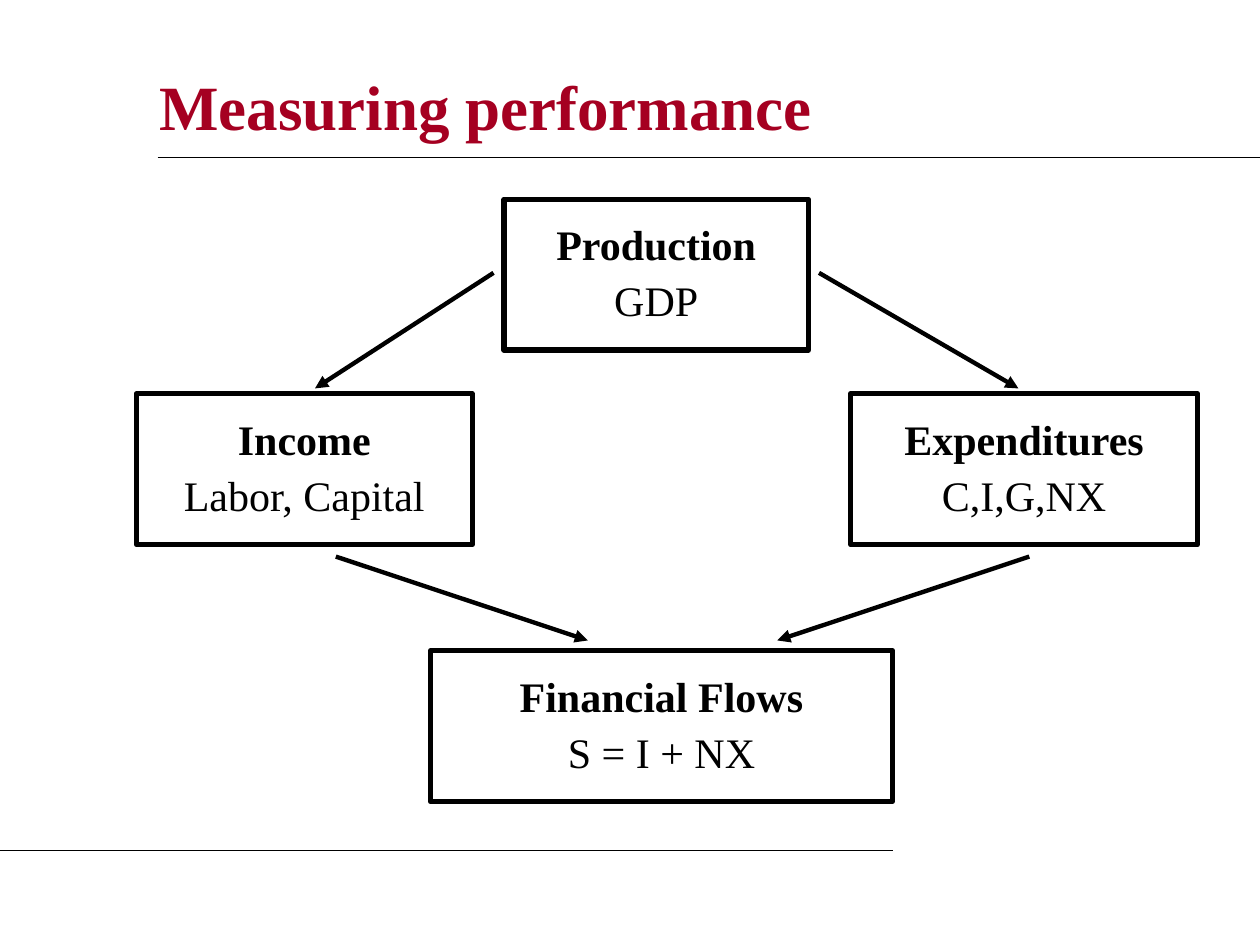
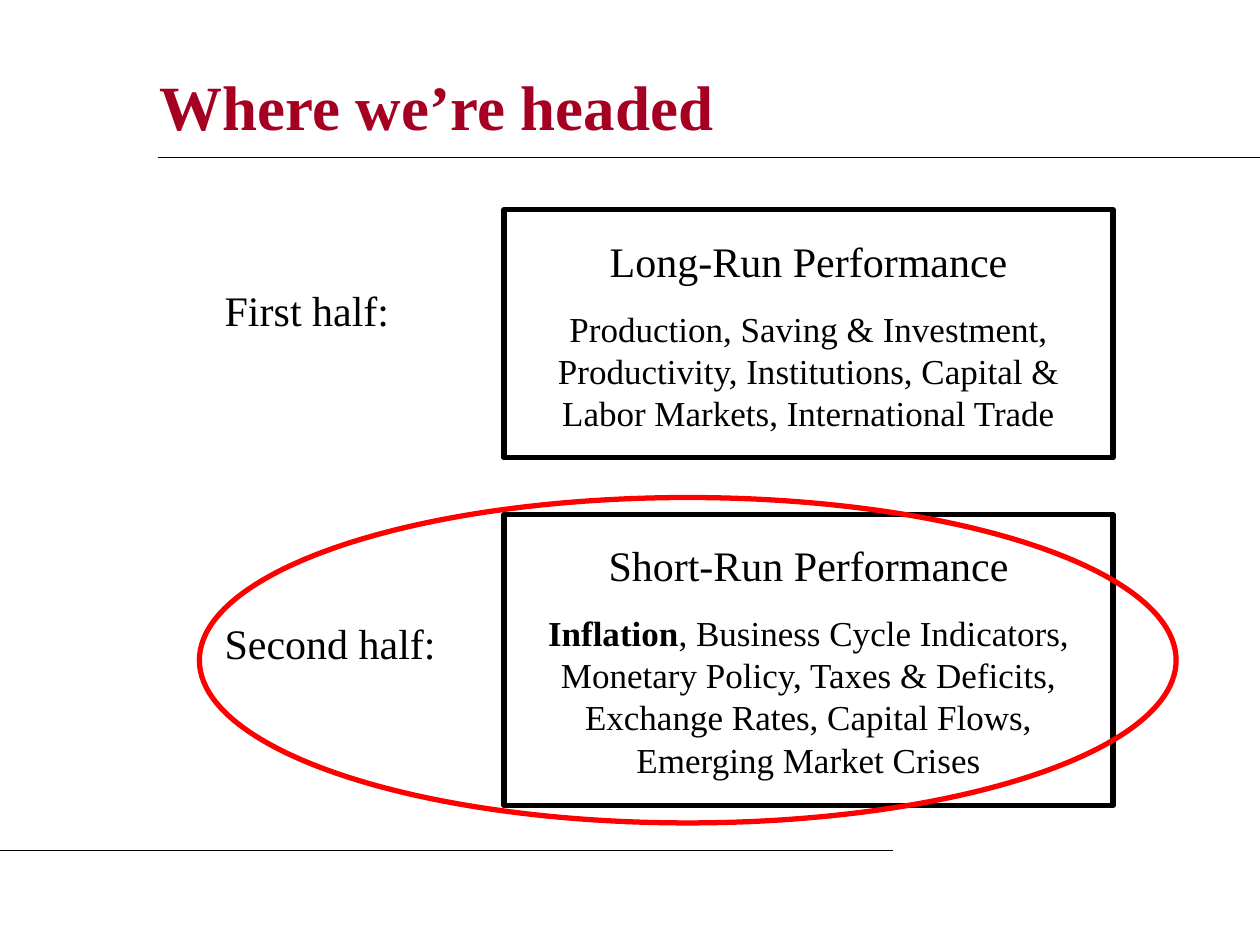
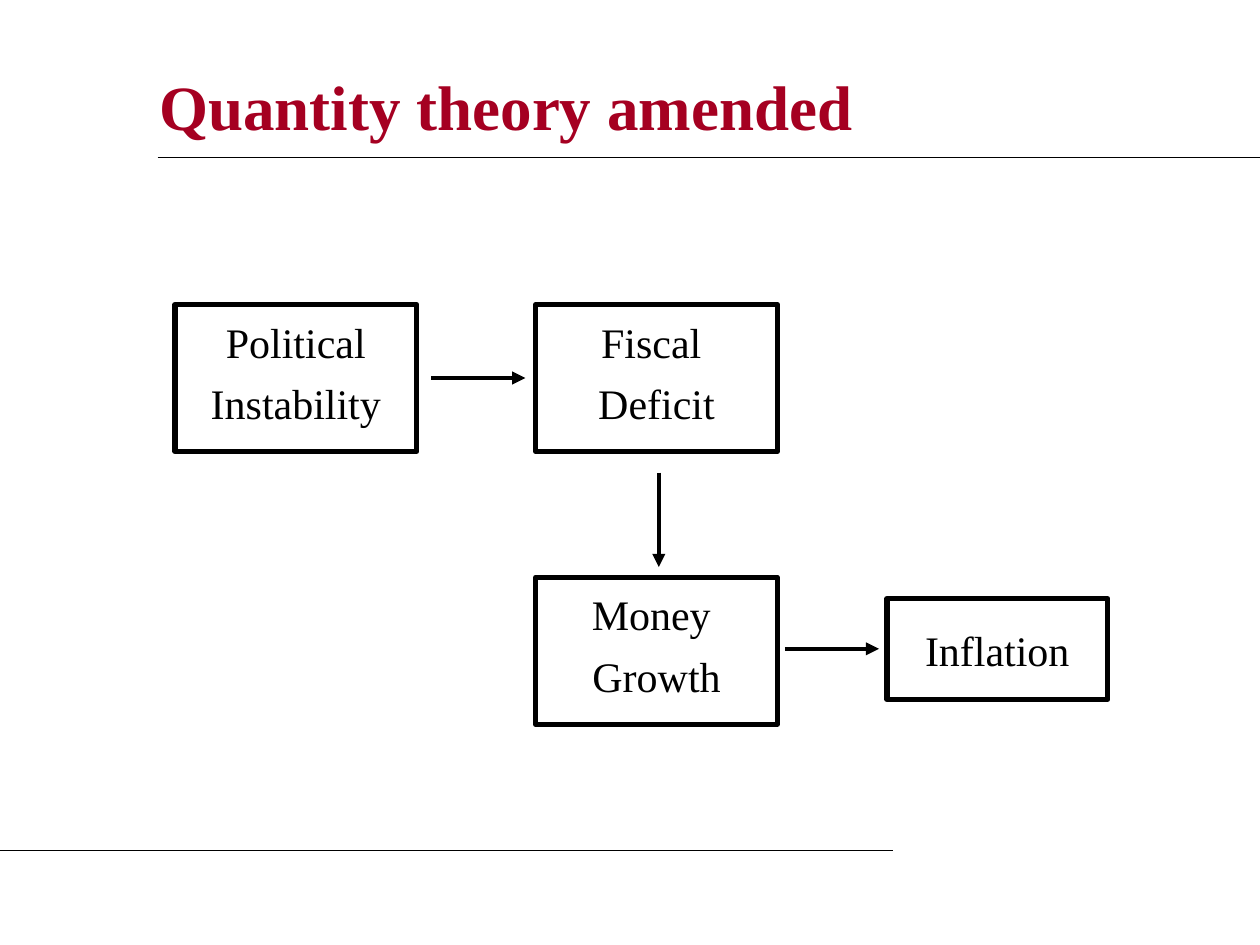
import pptx
import pptx.dml.color
import pptx.enum.shapes
import pptx.enum.text
import pptx.oxml
import pptx.oxml.ns
import pptx.util
from pptx.util import Cm

BLACK = pptx.dml.color.RGBColor(0x00, 0x00, 0x00)
CRIMSON = pptx.dml.color.RGBColor(0xA5, 0x00, 0x21)
RED = pptx.dml.color.RGBColor(0xFF, 0x00, 0x00)

SHAPES = pptx.enum.shapes.MSO_SHAPE
ALIGN = pptx.enum.text.PP_ALIGN
ANCHOR = pptx.enum.text.MSO_ANCHOR
NAMESPACE = pptx.oxml.ns.nsdecls("a")


class Deck:
    font = "Times New Roman"
    title_size, heading_size, detail_size = 36, 24, 20
    rule_width, arrow_width, frame_width = 0.75, 2.5, 3
    inset = Cm(0.51)

    def __init__(self):
        self.presentation = pptx.Presentation()
        self.presentation.slide_width = Cm(25.4)
        self.presentation.slide_height = Cm(19.05)
        self.slide = None

    def new_slide(self, heading):
        """Start a slide with its title and the two thin rules."""
        layout = self.presentation.slide_layouts[5]
        self.slide = self.presentation.slides.add_slide(layout)
        title = self.slide.shapes.title
        title.left, title.top = Cm(2.96), Cm(1.06)
        title.width, title.height = Cm(20.53), Cm(2.12)
        frame = title.text_frame
        frame.auto_size = pptx.enum.text.MSO_AUTO_SIZE.NONE
        frame.vertical_anchor = ANCHOR.MIDDLE
        paragraph = frame.paragraphs[0]
        paragraph.alignment = ALIGN.LEFT
        self.run(paragraph, heading, self.title_size, True, CRIMSON)
        self.line(3.18, 3.18, 25.4, 3.18, self.rule_width)
        self.line(0, 17.15, 18, 17.15, self.rule_width)

    def run(self, paragraph, words, size, bold=False, color=BLACK):
        run = paragraph.add_run()
        run.text = words
        run.font.name = self.font
        run.font.size = pptx.util.Pt(size)
        run.font.bold = bold
        run.font.color.rgb = color

    def fill_text(self, frame, paragraphs, align, spacing, gap):
        """Write paragraphs, each a list of (words, size, bold) runs."""
        frame.word_wrap = True
        frame.vertical_anchor = ANCHOR.TOP
        frame.margin_left = frame.margin_right = self.inset
        frame.margin_top = frame.margin_bottom = self.inset
        for index, runs in enumerate(paragraphs):
            paragraph = frame.add_paragraph() if index else frame.paragraphs[0]
            paragraph.alignment = align
            paragraph.line_spacing = spacing
            paragraph.space_before = pptx.util.Pt(gap if index else 0)
            for words, size, bold in runs:
                self.run(paragraph, words, size, bold)

    def outline(self, kind, left, top, width, height, color):
        shape = self.slide.shapes.add_shape(
            kind, Cm(left), Cm(top), Cm(width), Cm(height))
        shape.shadow.inherit = False
        shape.fill.background()
        shape.line.color.rgb = color
        shape.line.width = pptx.util.Pt(self.frame_width)
        return shape

    def box(self, left, top, width, height, paragraphs, spacing=1.0, gap=0):
        frame = self.outline(SHAPES.RECTANGLE, left, top, width, height, BLACK)
        self.fill_text(frame.text_frame, paragraphs, ALIGN.CENTER, spacing, gap)

    def ellipse(self, left, top, width, height):
        self.outline(SHAPES.OVAL, left, top, width, height, RED)

    def label(self, left, top, width, height, words, spacing=1.0):
        label = self.slide.shapes.add_textbox(
            Cm(left), Cm(top), Cm(width), Cm(height))
        self.fill_text(label.text_frame, [[(words, self.heading_size, False)]],
                       ALIGN.LEFT, spacing, 0)

    def line(self, x1, y1, x2, y2, width):
        line = self.slide.shapes.add_connector(
            pptx.enum.shapes.MSO_CONNECTOR.STRAIGHT,
            Cm(x1), Cm(y1), Cm(x2), Cm(y2))
        line.line.color.rgb = BLACK
        line.line.width = pptx.util.Pt(width)
        line._element.spPr.append(
            pptx.oxml.parse_xml(f"<a:effectLst {NAMESPACE}/>"))
        return line

    def arrow(self, x1, y1, x2, y2):
        arrow = self.line(x1, y1, x2, y2, self.arrow_width)
        arrow.line._get_or_add_ln().append(
            pptx.oxml.parse_xml(f'<a:tailEnd {NAMESPACE} type="triangle"/>'))


def measuring_performance(deck):
    deck.new_slide("Measuring performance")
    measures = [
        (10.16, 4.02, 6.14, "Production", "GDP"),
        (17.15, 7.94, 6.99, "Expenditures", "C,I,G,NX"),
        (2.75, 7.94, 6.77, "Income", "Labor, Capital"),
        (8.68, 13.12, 9.31, "Financial Flows", "S = I + NX"),
    ]
    for left, top, width, measure, parts in measures:
        deck.box(left, top, width, 3.04,
                 [[(measure, deck.heading_size, True)],
                  [(parts, deck.heading_size, False)]],
                 spacing=0.9, gap=6)
    flows = [
        (16.51, 5.5, 20.53, 7.83),
        (9.95, 5.5, 6.35, 7.83),
        (20.75, 11.22, 15.67, 12.91),
        (6.77, 11.22, 11.85, 12.91),
    ]
    for flow in flows:
        deck.arrow(*flow)


def where_headed(deck):
    deck.new_slide("Where we’re headed")
    detail = deck.detail_size
    long_run = [("Production, Saving & Investment, Productivity, Institutions, "
                 "Capital & Labor Markets, International Trade", detail, False)]
    short_run = [("Inflation", detail, True),
                 (", Business Cycle Indicators, Monetary Policy, "
                  "Taxes & Deficits, Exchange Rates, Capital Flows, "
                  "Emerging Market Crises", detail, False)]
    halves = [
        (4.23, 5.0, "Long-Run Performance", long_run),
        (10.37, 5.87, "Short-Run Performance", short_run),
    ]
    for top, height, horizon, topics in halves:
        deck.box(10.16, top, 12.28, height,
                 [[(horizon, deck.heading_size, False)], topics], gap=12.5)
    deck.label(4.02, 5.93, 5.93, 1.52, "First half:", spacing=0.5)
    deck.label(4.02, 11.94, 5.93, 2.03, "Second half:")
    deck.ellipse(4.02, 10.03, 19.69, 6.56)


def quantity_theory(deck):
    deck.new_slide("Quantity theory amended")
    causes = [
        (3.53, 6.14, 4.87, 2.96, ["Political", "Instability"]),
        (10.8, 6.14, 4.87, 2.96, ["Fiscal ", "Deficit"]),
        (10.8, 11.64, 4.87, 2.96, ["Money ", "Growth"]),
        (17.88, 12.07, 4.45, 2.03, ["Inflation"]),
    ]
    for left, top, width, height, words in causes:
        deck.box(left, top, width, height,
                 [[(word, deck.heading_size, False)] for word in words],
                 spacing=0.7 if len(words) > 1 else 1.0, gap=15)
    reach = 1.9
    for x, y, across, down in [(8.69, 7.62, reach, 0),
                               (13.28, 9.53, 0, reach),
                               (15.82, 13.08, reach, 0)]:
        deck.arrow(x, y, x + across, y + down)


def main():
    deck = Deck()
    measuring_performance(deck)
    where_headed(deck)
    quantity_theory(deck)
    deck.presentation.save("out.pptx")


if __name__ == "__main__":
    main()
